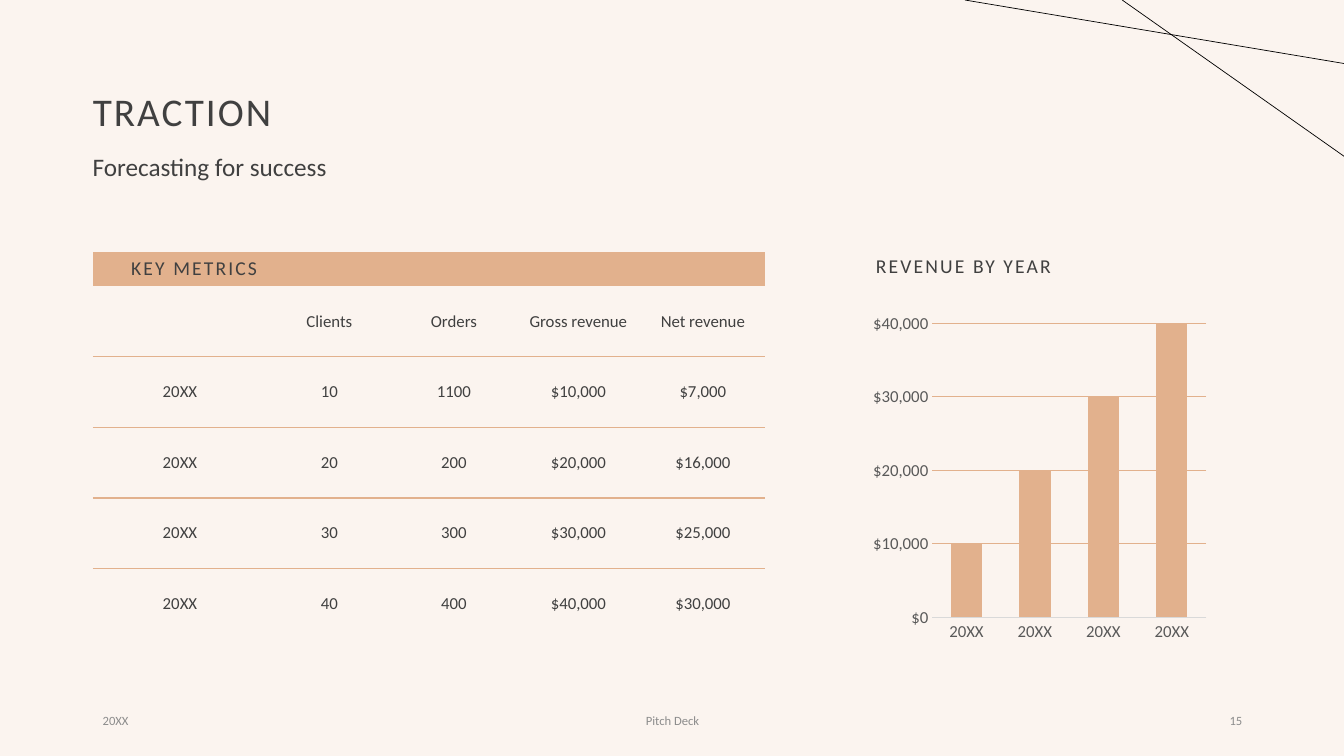
import pptx
import pptx.chart.data
import pptx.dml.color
import pptx.enum.chart
import pptx.enum.shapes
import pptx.enum.text
import pptx.oxml
import pptx.oxml.ns
import pptx.util

Inches = pptx.util.Inches
Pt = pptx.util.Pt
Align = pptx.enum.text.PP_ALIGN
Anchor = pptx.enum.text.MSO_ANCHOR
rgb = pptx.dml.color.RGBColor.from_string

theme = {
    "font": "Calibri", "background": rgb("FBF4EF"), "accent": rgb("E2B18D"),
    "ink": rgb("404040"), "axis": rgb("595959"), "axis_line": rgb("D9D9D9"),
    "muted": rgb("8C8C8C"), "line": rgb("000000"),
    "title": 28, "subtitle": 18, "heading": 14, "body": 12, "footer": 9,
}


def write(frame, text, size="body", color="ink", align=Align.LEFT, tracking=0, line_spacing=None):
    para = frame.paragraphs[0]
    para.alignment = align
    para.line_spacing = line_spacing
    if not text:
        para._p.get_or_add_endParaRPr().set("sz", str(theme[size] * 100))
        return
    span = para.add_run()
    span.text = text
    span.font.name = theme["font"]
    span.font.size = Pt(theme[size])
    span.font.color.rgb = theme[color]
    span.font._element.set("spc", str(int(tracking * 100)))


deck = pptx.Presentation()
deck.slide_width, deck.slide_height = Inches(13.33), Inches(7.5)
page = deck.slides.add_slide(deck.slide_layouts[5])
page.background.fill.solid()
page.background.fill.fore_color.rgb = theme["background"]

title = page.shapes.title
title.left, title.top, title.width, title.height = map(Inches, (0.92, 0.4, 11.5, 1.45))
title.text_frame.margin_left = 0
title.text_frame.vertical_anchor = Anchor.MIDDLE
write(title.text_frame, "TRACTION", size="title", tracking=1.5, line_spacing=0.9)

top, middle = Anchor.TOP, Anchor.MIDDLE
footer = {"size": "footer", "color": "muted"}
for text, place, anchor, style in [
    ("Forecasting for success", (0.82, 1.49, 7.4, 0.54), top, {"size": "subtitle", "line_spacing": 0.9}),
    ("REVENUE BY YEAR", (8.59, 2.5, 3.44, 0.34), top,
     {"size": "heading", "tracking": 1.5, "line_spacing": 0.9}),
    ("20XX", (0.92, 6.95, 3, 0.4), middle, footer),
    ("Pitch Deck", (4.42, 6.95, 4.5, 0.4), middle, {**footer, "align": Align.CENTER}),
    ("15", (9.42, 6.95, 3, 0.4), middle, {**footer, "align": Align.RIGHT}),
]:
    box = page.shapes.add_textbox(*map(Inches, place))
    box.text_frame.word_wrap = True
    box.text_frame.vertical_anchor = anchor
    write(box.text_frame, text, **style)

metrics = [
    ("KEY METRICS", "", "", "", ""),
    ("", "Clients", "Orders", "Gross revenue", "Net revenue"),
    ("20XX", "10", "1100", "$10,000", "$7,000"),
    ("20XX", "20", "200", "$20,000", "$16,000"),
    ("20XX", "30", "300", "$30,000", "$25,000"),
    ("20XX", "40", "400", "$40,000", "$30,000"),
]
table_frame = page.shapes.add_table(
    len(metrics), len(metrics[0]), Inches(0.92), Inches(2.5), Inches(6.69), Inches(3.84))
table = table_frame.table
table.first_row = table.horz_banding = False
table._tbl.tblPr[0].text = "{2D5ABB26-0587-4C30-8999-92F81FD0307C}"
for index, column in enumerate(table.columns):
    column.width = Inches(1.73 if index == 0 else 1.235)
for row_index, values in enumerate(metrics):
    is_banner = row_index == 0
    table.rows[row_index].height = Inches(0.34 if is_banner else 0.7)
    for column_index, value in enumerate(values):
        cell = table.cell(row_index, column_index)
        cell.vertical_anchor = Anchor.MIDDLE
        if is_banner:
            cell.fill.solid()
            cell.fill.fore_color.rgb = theme["accent"]
            write(cell.text_frame, value, size="heading", align=Align.RIGHT, tracking=1.5)
            continue
        cell.fill.background()
        write(cell.text_frame, value, align=Align.CENTER)
        if row_index < len(metrics) - 1:
            cell._tc.get_or_add_tcPr().insert(0, pptx.oxml.parse_xml(
                f'<a:lnB {pptx.oxml.ns.nsdecls("a")} w="12700"><a:solidFill>'
                f'<a:srgbClr val="{theme["accent"]}"/></a:solidFill></a:lnB>'))

revenue = pptx.chart.data.CategoryChartData(number_format="[$$-409]#,##0")
revenue.categories = ["20XX"] * 4
revenue.add_series("Series 1", [10000, 20000, 30000, 40000])
chart = page.shapes.add_chart(
    pptx.enum.chart.XL_CHART_TYPE.COLUMN_CLUSTERED,
    Inches(8.59), Inches(3.04), Inches(3.44), Inches(3.39), revenue).chart
chart.has_legend = chart.has_title = False
chart.font.name = theme["font"]
plot = chart.plots[0]
plot.gap_width, plot.overlap, plot.vary_by_categories = 118, -3, False
bars = plot.series[0].format.fill
bars.solid()
bars.fore_color.rgb = theme["accent"]
years, dollars = chart.category_axis, chart.value_axis
for axis in (years, dollars):
    axis.major_tick_mark = axis.minor_tick_mark = pptx.enum.chart.XL_TICK_MARK.NONE
    axis.tick_labels.font.name = theme["font"]
    axis.tick_labels.font.size = Pt(theme["body"])
    axis.tick_labels.font.color.rgb = theme["axis"]
dollars.minimum_scale, dollars.maximum_scale, dollars.major_unit = 0, 40000, 10000
dollars.tick_labels.number_format = "[$$-409]#,##0"
dollars.tick_labels.number_format_is_linked = False
dollars.format.line.fill.background()
for line, color in [(years.format.line, "axis_line"), (dollars.major_gridlines.format.line, "accent")]:
    line.color.rgb = theme[color]
    line.width = Pt(0.75)

for start, end in [((11.13, 0), (13.33, 1.55)), ((9.57, 0), (13.33, 0.63))]:
    stroke = page.shapes.add_connector(
        pptx.enum.shapes.MSO_CONNECTOR.STRAIGHT, *map(Inches, start + end))
    stroke.line.color.rgb = theme["line"]
    stroke.line.width = Pt(0.5)
    stroke._element.spPr.append(pptx.oxml.parse_xml(f'<a:effectLst {pptx.oxml.ns.nsdecls("a")}/>'))

deck.save("out.pptx")
